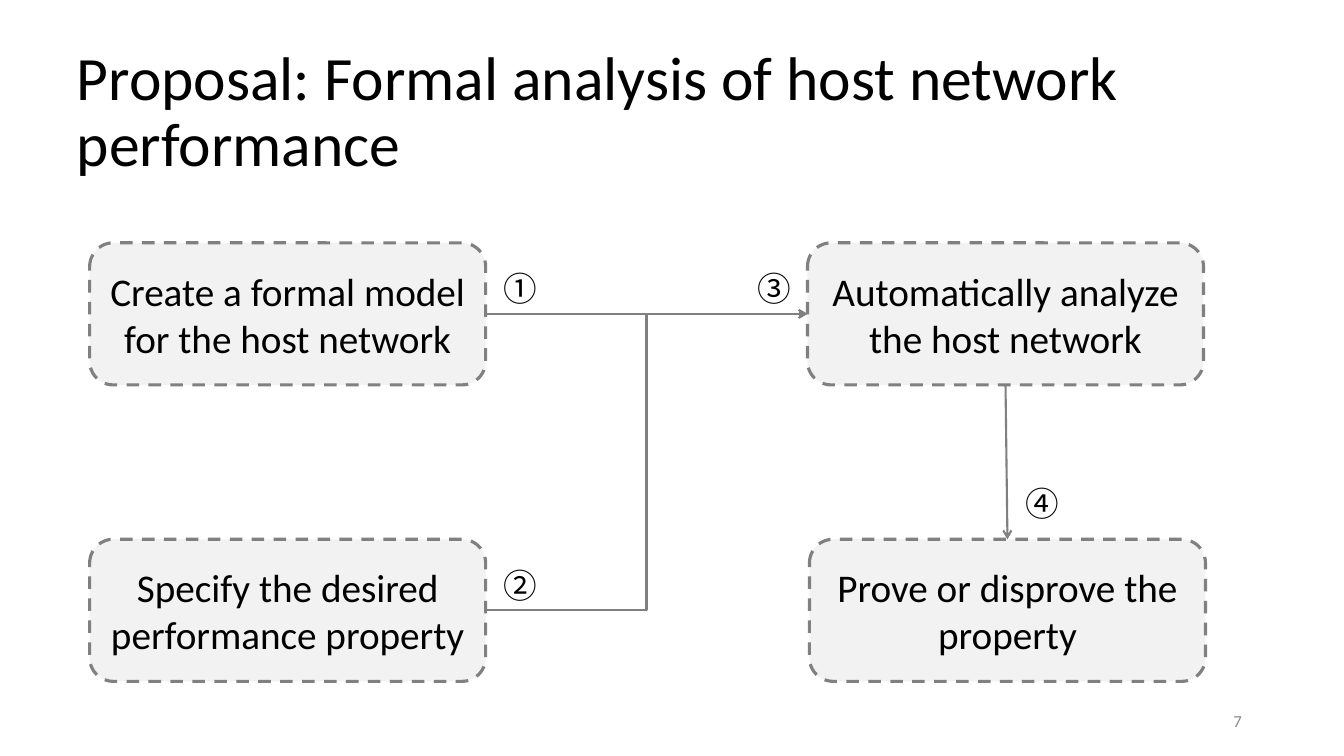
from lxml.etree import SubElement
from pptx import Presentation
from pptx.dml.color import RGBColor
from pptx.enum.dml import MSO_LINE as Dash
from pptx.enum.shapes import MSO_CONNECTOR as Link, MSO_SHAPE as Shape
from pptx.enum.text import MSO_ANCHOR as Anchor, MSO_AUTO_SIZE as Fit, PP_ALIGN as Align
from pptx.oxml.ns import qn
from pptx.util import Cm, Pt

BLACK = RGBColor(0x00, 0x00, 0x00)
GRAY = RGBColor(0x80, 0x80, 0x80)
PALE = RGBColor(0xF2, 0xF2, 0xF2)
MUTED = RGBColor(0x8C, 0x8C, 0x8C)

TOP, LOW = 6.12, 13.59
STEPS = {
    "model": (2.26, TOP, "Create a formal model for the host network"),
    "goal": (2.26, LOW, "Specify the desired performance property"),
    "check": (20.35, TOP, "Automatically analyze the host network"),
    "proof": (20.4, LOW, "Prove or disprove the property"),
}
WIDE, HIGH = 9.98, 3.58
TAG_W, TAG_H = 1.52, 1.27
GAP, DROP = 0.2, 0.51
LINKS = [
    (Link.ELBOW, "goal", 3, "check", 1, "triangle"),
    (Link.STRAIGHT, "model", 3, "check", 1, "arrow"),
    (Link.STRAIGHT, "check", 2, "proof", 0, "arrow"),
]


def write(shape, text, size, color=BLACK, font="Calibri", align=Align.LEFT,
          anchor=Anchor.MIDDLE, fit=Fit.NONE):
    frame = shape.text_frame
    for key, value in dict(word_wrap=True, auto_size=fit, vertical_anchor=anchor).items():
        setattr(frame, key, value)
    para = frame.paragraphs[0]
    para.alignment = align
    run = para.add_run()
    run.text = text
    for key, value in dict(name=font, size=Pt(size)).items():
        setattr(run.font, key, value)
    run.font.color.rgb = color
    return para, run


def add_title(slide, left, top, width, height):
    title = slide.shapes.title
    for key, value in dict(left=left, top=top, width=width, height=height).items():
        setattr(title, key, Cm(value))
    para, _ = write(title, "Proposal: Formal analysis of host network performance", 44)
    para.line_spacing = 0.9


def add_step(slide, left, top, text):
    step = slide.shapes.add_shape(Shape.ROUNDED_RECTANGLE, Cm(left), Cm(top), Cm(WIDE), Cm(HIGH))
    step.shadow.inherit = False
    step.fill.solid()
    step.fill.fore_color.rgb = PALE
    step.line.color.rgb = GRAY
    for key, value in dict(width=Pt(2.25), dash_style=Dash.DASH).items():
        setattr(step.line, key, value)
    write(step, text, 28, align=Align.CENTER)
    return step


def add_link(slide, kind, start, out, end, into, head):
    link = slide.shapes.add_connector(kind, 0, 0, 0, 0)
    link.begin_connect(start, out)
    link.end_connect(end, into)
    link.line.color.rgb = GRAY
    link.line.width = Pt(1.5)
    SubElement(link.line._get_or_add_ln(), qn("a:tailEnd"), type=head)
    SubElement(link._element.spPr, qn("a:effectLst"))


def add_tag(slide, left, top, text):
    font = "Noto Sans CJK SC"
    tag = slide.shapes.add_textbox(Cm(left), Cm(top), Cm(TAG_W), Cm(TAG_H))
    _, run = write(tag, text, 24, font=font, anchor=Anchor.TOP, fit=Fit.SHAPE_TO_FIT_TEXT)
    SubElement(run._r.get_or_add_rPr(), qn("a:ea"), typeface=font)


def add_flow(slide):
    steps = {name: add_step(slide, *step) for name, step in STEPS.items()}
    for kind, start, out, end, into, head in LINKS:
        add_link(slide, kind, steps[start], out, steps[end], into, head)
    left, right = STEPS["model"][0] + WIDE, STEPS["check"][0]
    add_tag(slide, left + GAP, TOP + DROP, "①")
    add_tag(slide, left + GAP, LOW + DROP, "②")
    add_tag(slide, right - TAG_W, TOP + DROP, "③")
    add_tag(slide, STEPS["proof"][0] + WIDE / 2 + GAP, LOW - 1.55, "④")


def add_number(slide, left, top, width, height):
    box = slide.shapes.add_textbox(Cm(left), Cm(top), Cm(width), Cm(height))
    write(box, "7", 12, MUTED, align=Align.RIGHT)


def main():
    deck = Presentation()
    deck.slide_width, deck.slide_height = Cm(33.87), Cm(19.05)
    slide = deck.slides.add_slide(deck.slide_layouts[5])
    add_title(slide, 1.68, 1.02, 32.18, 3.68)
    add_flow(slide)
    add_number(slide, 23.93, 17.65, 7.62, 1.02)
    deck.save("out.pptx")


if __name__ == "__main__":
    main()
